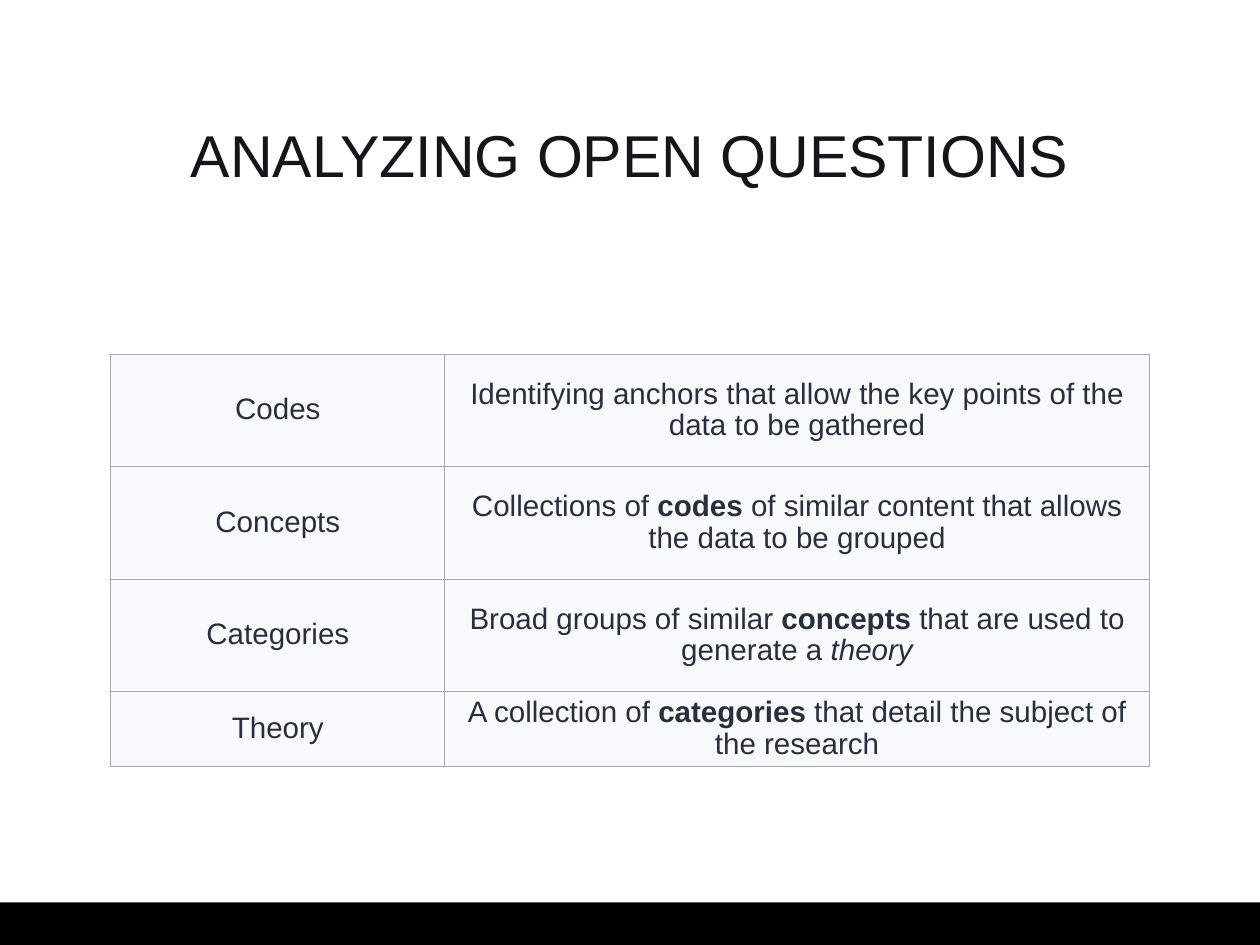
from dataclasses import dataclass

from lxml.etree import SubElement
from pptx import Presentation
from pptx.dml.color import RGBColor as RGB
from pptx.enum.shapes import MSO_SHAPE as SHAPE
from pptx.enum.text import MSO_ANCHOR as ANCHOR, MSO_AUTO_SIZE as AUTO, PP_ALIGN as ALIGN
from pptx.oxml.ns import qn
from pptx.util import Inches, Pt

TITLE = "ANALYZING OPEN QUESTIONS"
STAGES = [
    ("Codes", [("Identifying anchors that allow the key points of the data to be gathered", "")]),
    ("Concepts", [("Collections of ", ""), ("codes", "b"),
                  (" of similar content that allows the data to be grouped", "")]),
    ("Categories", [("Broad groups of similar ", ""), ("concepts", "b"),
                    (" that are used to generate a ", ""), ("theory", "i")]),
    ("Theory", [("A collection of ", ""), ("categories", "b"),
                (" that detail the subject of the research", "")]),
]


@dataclass(frozen=True)
class Theme:
    font: str = "Arial"
    title: str = "151618"
    text: str = "262F3E"
    cell: str = "F8F9FA"
    border: str = "A2A9B1"
    bar: str = "000000"
    title_size: int = 48
    text_size: int = 24
    border_width: float = 0.75


T = Theme()
SLIDE_W, SLIDE_H = 14.22, 10.67
MARGIN = 1.25
CONTENT_W = SLIDE_W - 2 * MARGIN
TITLE_TOP, TITLE_H = 0.9, 1.67
TABLE_TOP = 4
TERM_W = 3.77
COL_WIDTHS = [TERM_W, CONTENT_W - TERM_W]
ROW_HEIGHTS = [1.27] * 3 + [0.84]
BAR_H = 0.48


def write(tf, runs, size=T.text_size, color=T.text, spacing=0.96):
    tf.word_wrap = True
    tf.vertical_anchor = ANCHOR.MIDDLE
    p = tf.paragraphs[0]
    p.alignment = ALIGN.CENTER
    p.line_spacing = spacing
    for text, style in runs:
        r = p.add_run()
        r.text = text
        r.font.name = T.font
        r.font.size = Pt(size)
        r.font.bold = style == "b"
        r.font.italic = style == "i"
        r.font.color.rgb = RGB.from_string(color)


def fill(item, color):
    item.fill.solid()
    item.fill.fore_color.rgb = RGB.from_string(color)


def outline(cell):
    props = cell._tc.get_or_add_tcPr()
    for i, side in enumerate(("lnL", "lnR", "lnT", "lnB")):
        ln = props.makeelement(qn(f"a:{side}"), {"w": str(Pt(T.border_width))})
        solid = SubElement(ln, qn("a:solidFill"))
        SubElement(solid, qn("a:srgbClr"), val=T.border)
        props.insert(i, ln)


def add_bar(s):
    sp = s.shapes.add_shape(SHAPE.RECTANGLE, 0, Inches(SLIDE_H - BAR_H),
                            Inches(SLIDE_W), Inches(BAR_H))
    sp.shadow.inherit = False
    fill(sp, T.bar)
    sp.line.fill.background()


def add_title(s):
    sp = s.shapes.title
    sp.left, sp.top = Inches(MARGIN), Inches(TITLE_TOP)
    sp.width, sp.height = Inches(CONTENT_W), Inches(TITLE_H)
    tf = sp.text_frame
    tf.auto_size = AUTO.NONE
    tf.margin_left = tf.margin_right = tf.margin_top = tf.margin_bottom = Inches(0.06)
    write(tf, [(TITLE, "")], size=T.title_size, color=T.title, spacing=1.0)


def add_stages(s):
    table = s.shapes.add_table(len(STAGES), len(COL_WIDTHS), Inches(MARGIN), Inches(TABLE_TOP),
                               Inches(CONTENT_W), Inches(sum(ROW_HEIGHTS))).table
    table.first_row = table.horz_banding = False
    for col, width in zip(table.columns, COL_WIDTHS):
        col.width = Inches(width)
    for row, height, (term, meaning) in zip(table.rows, ROW_HEIGHTS, STAGES):
        row.height = Inches(height)
        for cell, runs in zip(row.cells, ([(term, "")], meaning)):
            fill(cell, T.cell)
            outline(cell)
            write(cell.text_frame, runs)
            cell.vertical_anchor = ANCHOR.MIDDLE


def main():
    prs = Presentation()
    prs.slide_width, prs.slide_height = Inches(SLIDE_W), Inches(SLIDE_H)
    s = prs.slides.add_slide(prs.slide_layouts[5])
    add_bar(s)
    add_title(s)
    add_stages(s)
    prs.save("out.pptx")


if __name__ == "__main__":
    main()
